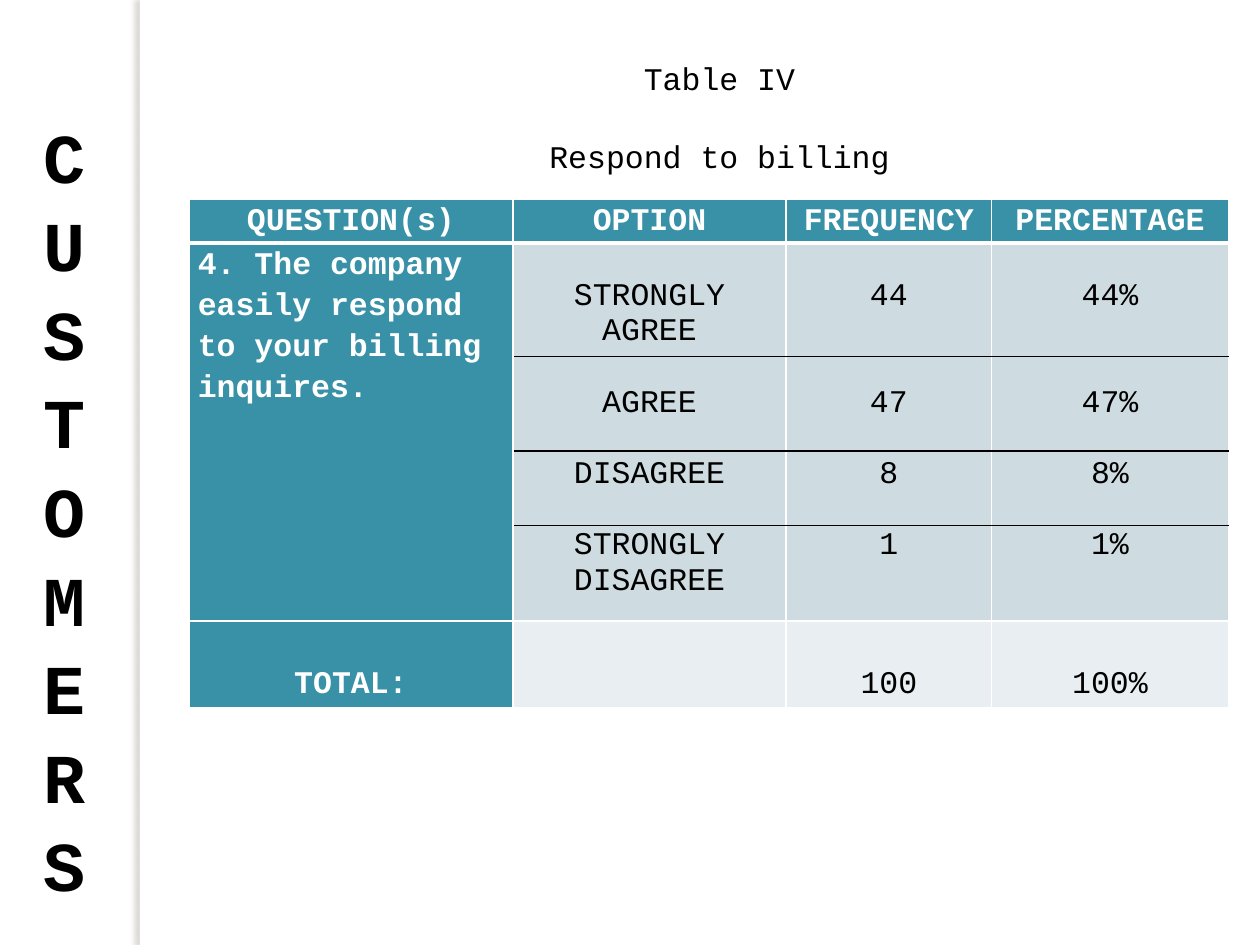
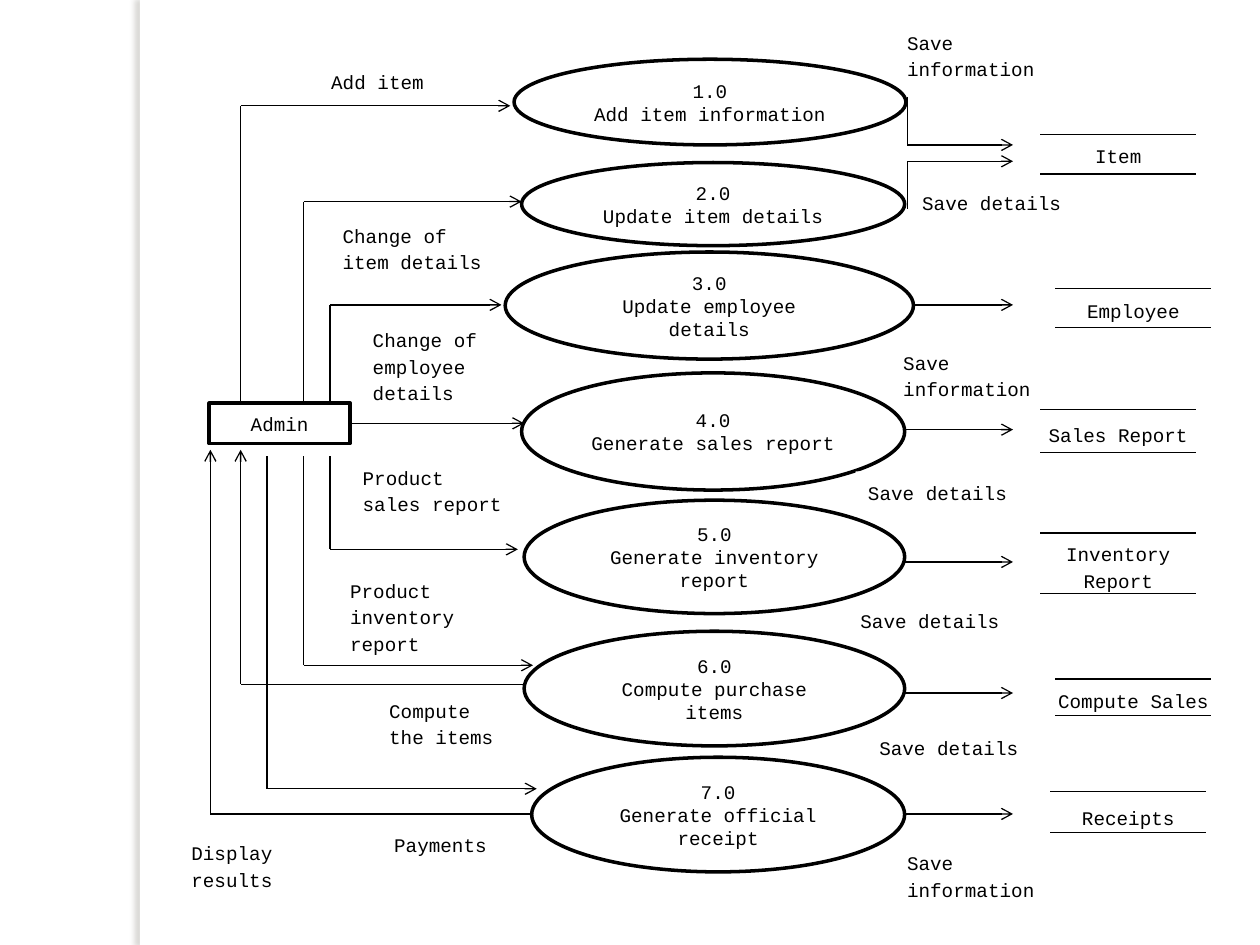
import dataclasses

import pptx
import pptx.dml.color
import pptx.enum.shapes
import pptx.enum.text
import pptx.oxml
import pptx.oxml.ns
import pptx.util

SHAPE = pptx.enum.shapes.MSO_SHAPE
ALIGN = pptx.enum.text.PP_ALIGN
ANCHOR = pptx.enum.text.MSO_ANCHOR
FONT = "Courier New"
COLORS = {
    "ink": "000000",
    "paper": "FFFFFF",
    "teal": "3891A7",
    "answer": "CEDCE1",
    "total": "E8EEF1",
    "shadow": "736F63",
}

# The slide is a grid of 100 columns by 75 rows
COLUMNS, ROWS = 100, 75
SLIDE_W, SLIDE_H = pptx.util.Inches(10), pptx.util.Inches(7.5)
LINE_18 = 20.4  # height in points of one 18 pt line


@dataclasses.dataclass
class Box:
    left: float
    top: float
    width: float
    height: float

    def inner(self, left, top, width, height):
        return Box(self.left + left, self.top + top, width, height)

    def emu(self):
        return (across(self.left), down(self.top),
                across(self.width), down(self.height))


def across(columns):
    return round(columns * SLIDE_W / COLUMNS)


def down(rows):
    return round(rows * SLIDE_H / ROWS)


def rgb(name):
    return pptx.dml.color.RGBColor.from_string(COLORS[name])


def xml(markup):
    space = pptx.oxml.ns.nsdecls("a")
    return pptx.oxml.parse_xml(markup.replace(" ", f" {space} ", 1))


# ---- Shared parts ----

def write_text(frame, lines, size=11, color="ink", bold=False,
               align=ALIGN.LEFT, spacing=None, gaps=None):
    """Write one paragraph per line; gaps holds the points before each."""
    for number, line in enumerate(lines):
        paragraph = frame.paragraphs[0] if number == 0 else frame.add_paragraph()
        paragraph.text = line
        paragraph.alignment = align
        if spacing:
            paragraph.line_spacing = spacing
        if gaps and number:
            paragraph.space_before = pptx.util.Pt(gaps[number])
        font = paragraph.font
        font.name, font.size, font.bold = FONT, pptx.util.Pt(size), bold
        font.color.rgb = rgb(color)


def draw_shape(slide, kind, box, outline=None, lines=(), anchor=ANCHOR.MIDDLE,
               **text_format):
    shape = slide.shapes.add_shape(kind, *box.emu())
    shape.shadow.inherit = False
    shape.fill.solid()
    shape.fill.fore_color.rgb = rgb("paper")
    if outline:
        shape.line.color.rgb = rgb("ink")
        shape.line.width = pptx.util.Pt(outline)
    else:
        shape.line.fill.background()
    shape.text_frame.word_wrap = True
    shape.text_frame.vertical_anchor = anchor
    write_text(shape.text_frame, lines, **text_format)
    return shape


def draw_label(slide, box, text, align=ALIGN.LEFT):
    draw_shape(slide, SHAPE.RECTANGLE, box, lines=[text], anchor=ANCHOR.TOP,
               align=align, spacing=1.15)


def draw_line(slide, box, start, end, arrow=False):
    """Draw a thin line between two points given relative to the box."""
    (x1, y1), (x2, y2) = start, end
    line = slide.shapes.add_connector(
        pptx.enum.shapes.MSO_CONNECTOR.STRAIGHT,
        across(box.left + x1), down(box.top + y1),
        across(box.left + x2), down(box.top + y2))
    line.line.color.rgb = rgb("ink")
    line.line.width = pptx.util.Pt(0.75)
    if arrow:
        line.line._get_or_add_ln().append(xml('<a:tailEnd type="arrow"/>'))
    line._element.spPr.append(xml("<a:effectLst />"))
    return line


def draw_side_band(slide):
    band = draw_shape(slide, SHAPE.RECTANGLE, Box(11.1, 0, 0.8, ROWS))
    effects = band._element.spPr.find(pptx.oxml.ns.qn("a:effectLst"))
    effects.append(xml(
        '<a:outerShdw blurRad="38100" dist="38100" dir="10800000" '
        f'rotWithShape="0"><a:srgbClr val="{COLORS["shadow"]}">'
        '<a:alpha val="25000"/></a:srgbClr></a:outerShdw>'))


# ---- Survey table slide ----

def place_title(slide, box, lines):
    title = slide.shapes.title
    title.left, title.top, title.width, title.height = box.emu()
    frame = title.text_frame
    frame.word_wrap = False
    frame.auto_size = pptx.enum.text.MSO_AUTO_SIZE.NONE
    frame.vertical_anchor = ANCHOR.MIDDLE
    write_text(frame, lines, size=18, align=ALIGN.CENTER, gaps=[0, 23])


def place_side_word(slide, box, word):
    frame = slide.shapes.add_textbox(*box.emu()).text_frame
    frame.word_wrap = True
    frame.margin_top = pptx.util.Inches(0.15)
    write_text(frame, word, size=40, bold=True, gaps=[0] + [2.6] * (len(word) - 1))


def format_cell(cell, fill, lines, top_border=1, bottom_border=1, top_margin=0,
                **text_format):
    borders = {"L": 1, "R": 1, "T": top_border, "B": bottom_border}
    for side, points in borders.items():
        cell._tc.get_or_add_tcPr().append(xml(
            f'<a:ln{side} w="{points * 12700}"><a:solidFill>'
            f'<a:srgbClr val="{COLORS["paper"]}"/></a:solidFill></a:ln{side}>'))
    cell.fill.solid()
    cell.fill.fore_color.rgb = rgb(fill)
    cell.margin_left = cell.margin_right = pptx.util.Inches(0.07)
    cell.margin_top, cell.margin_bottom = pptx.util.Pt(top_margin), 0
    write_text(cell.text_frame, lines, size=18, **text_format)


def place_survey_table(slide, box):
    widths, heights = (25.7, 21.7, 16.3, 18.8), (3.5, 30, 6.9)
    table = slide.shapes.add_table(len(heights), len(widths), *box.emu()).table
    table.first_row = table.horz_banding = False
    for column, width in zip(table.columns, widths):
        column.width = across(width)
    for row, height in zip(table.rows, heights):
        row.height = down(height)

    heading = dict(color="paper", bold=True, spacing=1.15)
    headers = ["QUESTION(s)", "OPTION", "FREQUENCY", "PERCENTAGE"]
    for column, header in enumerate(headers):
        format_cell(table.cell(0, column), "teal", [header], bottom_border=3,
                    align=ALIGN.CENTER, **heading)

    # Question and its four answers
    format_cell(table.cell(1, 0), "teal",
                ["4. The company easily respond to your billing inquires."],
                top_border=3, **heading)
    answers = [
        ["STRONGLY AGREE", "AGREE", "DISAGREE", "STRONGLY DISAGREE"],
        ["44", "47", "8", "1"],
        ["44%", "47%", "8%", "1%"],
    ]
    for column, lines in enumerate(answers, start=1):
        # The option names take two lines where the figures take one
        first_gap = LINE_18 if column == 1 else 2 * LINE_18
        format_cell(table.cell(1, column), "answer", lines, top_border=3,
                    top_margin=LINE_18, align=ALIGN.CENTER,
                    gaps=[0, first_gap, LINE_18, LINE_18])

    # Totals
    total = dict(top_margin=LINE_18 * 1.15, align=ALIGN.CENTER)
    format_cell(table.cell(2, 0), "teal", ["TOTAL:"], **total, **heading)
    format_cell(table.cell(2, 1), "total", [])
    for column, value in enumerate(["100", "100%"], start=2):
        format_cell(table.cell(2, column), "total", [value], spacing=1.15, **total)

    # Rules between the answers
    for y in (12.5, 20, 25.9):
        draw_line(slide, box, (widths[0] + 0.1, y), (box.width, y))


def build_survey_slide(deck):
    slide = deck.slides.add_slide(deck.slide_layouts[5])
    draw_side_band(slide)
    place_survey_table(slide, Box(15, 15.8, 82.5, 40.4))
    place_title(slide, Box(42.5, 4.2, 29.2, 10.1), ["Table IV", "Respond to billing"])
    place_side_word(slide, Box(2.5, 7.5, 5, 61.6), "CUSTOMERS")


# ---- Data flow slide ----

def place_processes(slide, box):
    processes = [
        (0.8, 4.7, 31.1, 6.8, "Add item information"),
        (1.4, 12.9, 30.4, 6.6, "Update item details"),
        (0.1, 20, 32.4, 8.5, "Update employee details"),
        (1.4, 29.6, 30.4, 9.3, "Generate sales report"),
        (1.6, 39.7, 30.2, 9, "Generate inventory report"),
        (1.6, 50.1, 30.2, 9.1, "Compute purchase items"),
        (2.2, 60.1, 29.6, 9.1, "Generate official receipt"),
    ]
    for number, (*place, task) in enumerate(processes, start=1):
        draw_shape(slide, SHAPE.OVAL, box.inner(*place), outline=2,
                   lines=[f"{number}.0", task], align=ALIGN.CENTER)


def place_admin_flows(slide, box):
    admin_box = box.inner(2.6, 32, 11.2, 3.2)
    admin = draw_shape(slide, SHAPE.RECTANGLE, admin_box, outline=2,
                       lines=["Admin"], align=ALIGN.CENTER)
    middle = 33.6
    direct = draw_line(slide, box, (13.8, middle), (27.6, middle), arrow=True)
    direct.begin_connect(admin, 3)

    # Flows to the processes: stem, start, height, tip
    above, below = 32, 36.2
    inputs = [
        (5.1, above, 8.4, 26.5), (10.1, above, 16, 27.4), (12.2, above, 24.2, 25.8),
        (12.2, below, 43.6, 27.1), (10.1, below, 52.8, 28.3), (7.2, below, 62.6, 28.6),
    ]
    for stem, start, y, tip in inputs:
        draw_line(slide, box, (stem, start), (stem, y))
        draw_line(slide, box, (stem, y), (tip, y), arrow=True)

    # Flows back to the admin
    for stem, y, source in [(5.1, 54.3, 27.6), (2.7, 64.6, 28.2)]:
        draw_line(slide, box, (source, y), (stem, y))
        draw_line(slide, box, (stem, y), (stem, 35.7), arrow=True)


def place_save_flows(slide, box):
    for start, y in [(0, 11.5), (0, 12.8), (0.5, 24.2), (-0.2, 34.1),
                     (-0.2, 44.6), (-0.2, 55), (-0.2, 64.6)]:
        draw_line(slide, box, (start, y), (box.width, y), arrow=True)
    for y, turn in [(7.7, 11.5), (16.6, 12.8)]:
        draw_line(slide, box, (0, y), (0, turn))


def place_stores(slide, box):
    label_width, rule_width = 14.5, 12.4
    stores = [  # left, top, height, upper rule, lower rule, name
        (0, 10.7, 2.5, 10.7, 13.8, "Item"),
        (1.2, 23, 3.1, 22.9, 26, "Employee"),
        (0, 32.8, 2.9, 32.5, 35.9, "Sales Report"),
        (0, 42.3, 4.8, 42.3, 47.1, "Inventory Report"),
        (1.2, 53.9, 2.9, 53.9, 56.8, "Compute Sales"),
        (0.8, 63.2, 2.9, 62.8, 66.1, "Receipts"),
    ]
    for left, top, height, upper, lower, name in stores:
        draw_label(slide, box.inner(left, top, label_width, height), name, ALIGN.CENTER)
        rule = left + (label_width - rule_width) / 2
        for y in (upper, lower):
            draw_line(slide, box, (rule, y), (rule + rule_width, y))


def place_flow_labels(slide, box):
    labels = [
        # Admin side
        (11.3, 4.8, 14.5, 2.5, "Add item"),
        (12.2, 17, 14.5, 5, "Change of item details"),
        (14.6, 25.3, 10.5, 7, "Change of employee details"),
        (13.8, 36.2, 13.8, 4.9, "Product sales report"),
        (12.8, 45.2, 11.1, 7, "Product inventory report"),
        (15.9, 54.7, 11.1, 5.2, "Compute the items"),
        (16.3, 65.4, 11, 3.2, "Payments"),
        (0.2, 66, 11.1, 5.2, "Display results"),
        # Store side
        (57, 1.7, 14.5, 5, "Save information"),
        (58.2, 14.4, 14.5, 2.5, "Save details"),
        (56.7, 27.1, 14.5, 4.4, "Save information"),
        (53.9, 37.4, 14.5, 2.5, "Save details"),
        (53.3, 47.6, 14.5, 2.5, "Save details"),
        (54.8, 57.7, 14.5, 2.5, "Save details"),
        (57, 66.8, 14.5, 4.4, "Save information"),
    ]
    for *place, text in labels:
        draw_label(slide, box.inner(*place), text)


def build_data_flow_slide(deck):
    slide = deck.slides.add_slide(deck.slide_layouts[6])
    draw_side_band(slide)
    place_processes(slide, Box(40, 0, 33, ROWS))
    place_admin_flows(slide, Box(14, 0, 29, ROWS))
    place_flow_labels(slide, Box(14, 0, 84, ROWS))
    place_save_flows(slide, Box(72, 0, 8.4, ROWS))
    place_stores(slide, Box(81.5, 0, 16, ROWS))


def main():
    deck = pptx.Presentation()
    deck.slide_width, deck.slide_height = SLIDE_W, SLIDE_H
    build_survey_slide(deck)
    build_data_flow_slide(deck)
    deck.save("out.pptx")


if __name__ == "__main__":
    main()
